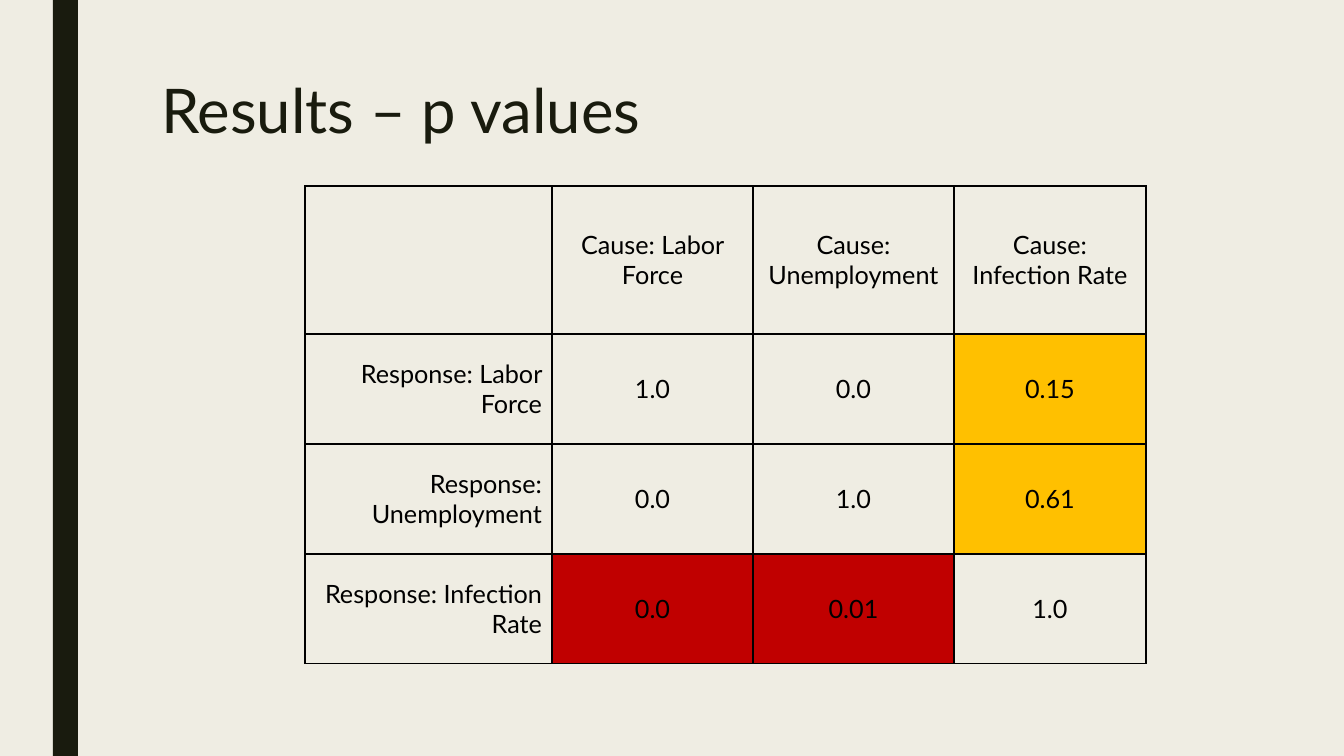
from lxml.etree import SubElement
from pptx import Presentation
from pptx.dml.color import RGBColor
from pptx.enum.shapes import MSO_SHAPE
from pptx.enum.text import MSO_ANCHOR, PP_ALIGN
from pptx.oxml.ns import qn
from pptx.util import Emu, Pt

EMU_PER_PX = 914400 / 100.8
FONT = "Lato"
COLORS = {
    "background": "EFEDE3",
    "dark": "191B0E",
    "black": "000000",
    "amber": "FFC000",
    "red": "C00000",
}

COLUMN_WIDTHS = [247, 201, 201, 192]
ROW_HEIGHTS = [148, 110, 110, 110]
P_VALUES = [
    ["", "Cause: Labor Force", "Cause: Unemployment", "Cause: Infection Rate"],
    ["Response: Labor Force", "1.0", "0.0", "0.15"],
    ["Response: Unemployment", "0.0", "1.0", "0.61"],
    ["Response: Infection Rate", "0.0", "0.01", "1.0"],
]
HIGHLIGHTS = {(1, 3): "amber", (2, 3): "amber", (3, 1): "red", (3, 2): "red"}


def px(length):
    return Emu(round(length * EMU_PER_PX))


def color(name):
    return RGBColor.from_string(COLORS[name])


def set_font(paragraph, size, color_name):
    paragraph.font.name = FONT
    paragraph.font.size = Pt(size)
    paragraph.font.color.rgb = color(color_name)


def add_side_bar(slide, left, top, width, height):
    bar = slide.shapes.add_shape(
        MSO_SHAPE.RECTANGLE, px(left), px(top), px(width), px(height))
    bar.shadow.inherit = False
    bar.fill.solid()
    bar.fill.fore_color.rgb = color("dark")
    bar.line.fill.background()


def set_title(slide, text, left, top, width, height):
    title = slide.shapes.title
    title.left, title.top = px(left), px(top)
    title.width, title.height = px(width), px(height)
    title.text_frame.text = text
    title.text_frame.vertical_anchor = MSO_ANCHOR.TOP
    paragraph = title.text_frame.paragraphs[0]
    paragraph.alignment = PP_ALIGN.LEFT
    paragraph.line_spacing = 0.89
    set_font(paragraph, 44, "dark")


def set_borders(cell):
    properties = cell._tc.get_or_add_tcPr()
    # Border lines come before the fill in the cell properties
    for index, side in enumerate(("a:lnL", "a:lnR", "a:lnT", "a:lnB")):
        line = SubElement(properties, qn(side), w=str(Pt(1)))
        properties.insert(index, line)
        fill = SubElement(line, qn("a:solidFill"))
        SubElement(fill, qn("a:srgbClr"), val=COLORS["black"])


def format_cell(cell, text, alignment, fill_name):
    cell.text = text
    cell.vertical_anchor = MSO_ANCHOR.MIDDLE
    paragraph = cell.text_frame.paragraphs[0]
    paragraph.alignment = alignment
    set_font(paragraph, 18, "black")
    if fill_name:
        cell.fill.solid()
        cell.fill.fore_color.rgb = color(fill_name)
    else:
        cell.fill.background()
    set_borders(cell)


def add_p_value_table(slide, left, top):
    table = slide.shapes.add_table(
        len(ROW_HEIGHTS), len(COLUMN_WIDTHS), px(left), px(top),
        px(sum(COLUMN_WIDTHS)), px(sum(ROW_HEIGHTS))).table
    table.first_row = False
    table.horz_banding = False
    for column, width in zip(table.columns, COLUMN_WIDTHS):
        column.width = px(width)
    for row, height in zip(table.rows, ROW_HEIGHTS):
        row.height = px(height)
    for row_index, texts in enumerate(P_VALUES):
        for column_index, text in enumerate(texts):
            alignment = PP_ALIGN.CENTER if column_index else PP_ALIGN.RIGHT
            format_cell(table.cell(row_index, column_index), text, alignment,
                        HIGHLIGHTS.get((row_index, column_index)))


def main():
    presentation = Presentation()
    presentation.slide_width = px(1344)
    presentation.slide_height = px(756)
    slide = presentation.slides.add_slide(presentation.slide_layouts[5])

    # Background and side bar
    slide.background.fill.solid()
    slide.background.fill.fore_color.rgb = color("background")
    add_side_bar(slide, 53, 0, 25, 756)

    # Title and table
    set_title(slide, "Results – p values", 151, 76, 1058, 163)
    add_p_value_table(slide, 305, 186)

    presentation.save("out.pptx")


if __name__ == "__main__":
    main()
